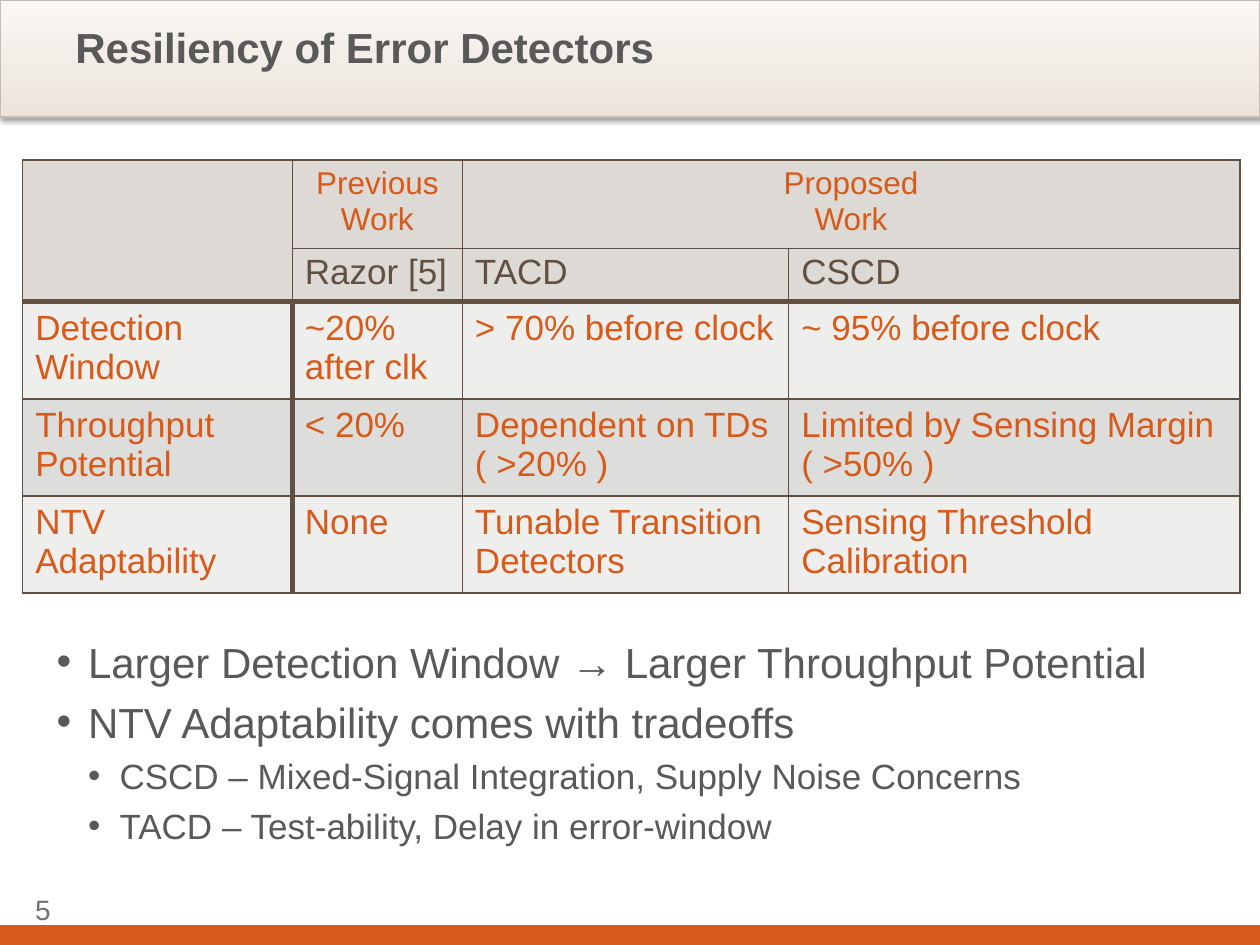
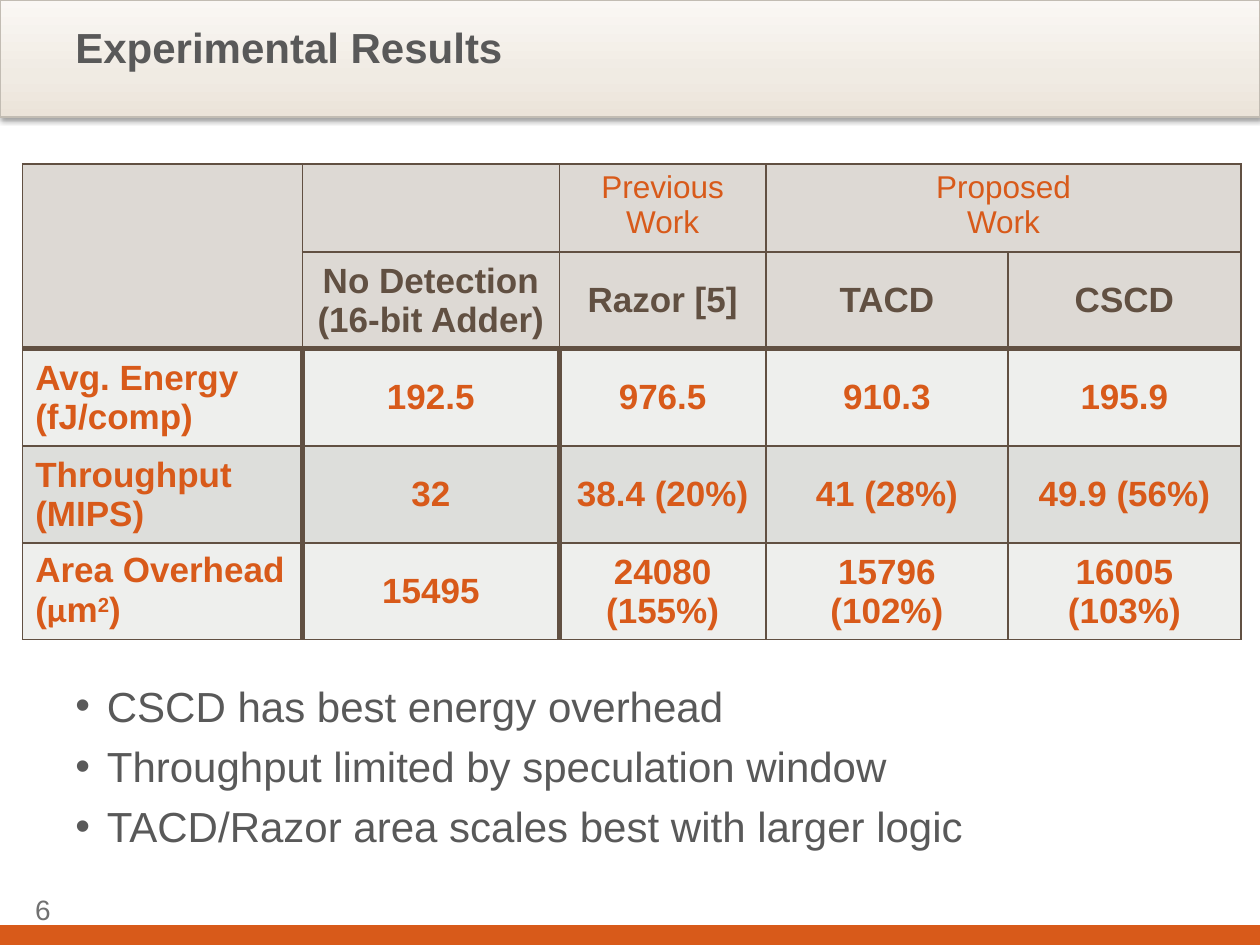
import copy
import dataclasses
import typing

import pptx
import pptx.dml.color
import pptx.enum.shapes
import pptx.enum.text
import pptx.oxml.ns
import pptx.presentation
import pptx.slide
import pptx.table
import pptx.text.text
import pptx.util
from lxml import etree

Inches = pptx.util.Inches
Pt = pptx.util.Pt
RGBColor = pptx.dml.color.RGBColor
qn = pptx.oxml.ns.qn
Align = pptx.enum.text.PP_ALIGN
Anchor = pptx.enum.text.MSO_ANCHOR

ORANGE = RGBColor(0xD8, 0x5A, 0x1A)
BROWN = RGBColor(0x61, 0x50, 0x42)
TEXT_GREY = RGBColor(0x59, 0x59, 0x59)
NUMBER_GREY = RGBColor(0x71, 0x71, 0x71)
HEADER_FILL = RGBColor(0xDD, 0xD9, 0xD4)
LIGHT_FILL = RGBColor(0xEE, 0xEF, 0xED)
DARK_FILL = RGBColor(0xDD, 0xDE, 0xDB)
BAND_LINE = RGBColor(0xC2, 0xBC, 0xB3)
BAND_STOPS = (
    (0, RGBColor(0xEB, 0xE3, 0xD9)),
    (0.35, RGBColor(0xF0, 0xEB, 0xE3)),
    (1, RGBColor(0xFA, 0xF7, 0xF4)),
)
FONT = "Arial"
SLIDE_WIDTH = 10
MARGIN = 0.18
ROW_HEIGHT = 0.41
THIN, THICK = 1, 3


class Span(typing.NamedTuple):
    text: str
    font: str = FONT
    superscript: bool = False


class Bullet(typing.NamedTuple):
    text: str
    level: int = 0


Content = str | tuple[Span, ...]


@dataclasses.dataclass(frozen=True)
class Strip:
    """One table row standing alone; pitch is the distance to the next strip."""
    cells: tuple[Content, ...]
    pitch: float = 0.77
    fill: RGBColor = LIGHT_FILL
    color: RGBColor = ORANGE
    size: int = 20
    bottom: int = THIN
    is_body: bool = True
    is_header: bool = False
    open_top: int | None = None
    open_bottom: int | None = None


@dataclasses.dataclass(frozen=True)
class Comparison:
    """Strips on common columns; thick_dividers counts the heavy lines from the left."""
    top: float
    columns: tuple[float, ...]
    thick_dividers: int
    bold_centered: bool
    strips: tuple[Strip, ...]


@dataclasses.dataclass(frozen=True)
class Page:
    number: int
    title: str
    comparison: Comparison
    bullets: tuple[Bullet, ...]
    bullets_at: tuple[float, float, float, float]


def header_strip(cells: tuple[Content, ...], pitch: float) -> Strip:
    return Strip(cells, pitch, HEADER_FILL, size=18, is_body=False,
                 is_header=True, open_bottom=0)


def heading_strip(cells: tuple[Content, ...], pitch: float) -> Strip:
    return Strip(cells, pitch, HEADER_FILL, BROWN, bottom=THICK, is_body=False, open_top=0)


PAGES = (
    Page(
        5, "Resiliency of Error Detectors",
        Comparison(1.27, (2.14, 1.35, 2.59, 3.58), 1, False, (
            header_strip(("", "Previous Work", "Proposed\nWork"), 0.69),
            heading_strip(("", "Razor [5]", "TACD", "CSCD"), 0.44),
            Strip(("Detection Window", "~20% after clk", "> 70% before clock",
                   "~ 95% before clock")),
            Strip(("Throughput Potential", "< 20%", "Dependent on TDs\n( >20% )",
                   "Limited by Sensing Margin ( >50% )"), fill=DARK_FILL),
            Strip(("NTV Adaptability", "None", "Tunable Transition Detectors",
                   "Sensing Threshold Calibration"), open_top=1),
        )),
        (
            Bullet("Larger Detection Window → Larger Throughput Potential"),
            Bullet("NTV Adaptability comes with tradeoffs"),
            Bullet("CSCD – Mixed-Signal Integration, Supply Noise Concerns", 1),
            Bullet("TACD – Test-ability, Delay in error-window", 1),
        ),
        (0.35, 5, 9.15, 1.9),
    ),
    Page(
        6, "Experimental Results",
        Comparison(1.3, (2.22, 2.04, 1.64, 1.92, 1.85), 2, True, (
            header_strip(("", "", "Previous Work", "Proposed\nWork"), 0.7),
            heading_strip(("", "No Detection (16-bit Adder)", "Razor [5]", "TACD", "CSCD"),
                          0.77),
            Strip(("Avg. Energy (fJ/comp)", "192.5", "976.5", "910.3", "195.9")),
            Strip(("Throughput (MIPS)", "32", "38.4 (20%)", "41 (28%)", "49.9 (56%)"),
                  fill=DARK_FILL),
            Strip(((Span("Area Overhead ("), Span("µ", "Calibri"), Span("m"),
                    Span("2", superscript=True), Span(")")),
                   "15495", "24080 (155%)", "15796 (102%)", "16005 (103%)")),
        )),
        (
            Bullet("CSCD has best energy overhead"),
            Bullet("Throughput limited by speculation window"),
            Bullet("TACD/Razor area scales best with larger logic"),
        ),
        (0.5, 5.35, 9.15, 1.99),
    ),
)


def style_run(run: pptx.text.text._Run, size: int, color: RGBColor,
              bold: bool = False, font: str = FONT) -> None:
    run.font.name = font
    run.font.size = Pt(size)
    run.font.bold = bold
    run.font.color.rgb = color


def add_text_box(slide: pptx.slide.Slide, at: tuple[float, float, float, float],
                 text: str) -> pptx.text.text.TextFrame:
    frame = slide.shapes.add_textbox(*map(Inches, at)).text_frame
    frame.word_wrap = True
    frame.text = text
    return frame


def add_bar(slide: pptx.slide.Slide, top: float, height: float,
            line: RGBColor, line_width: float) -> pptx.shapes.autoshape.Shape:
    bar = slide.shapes.add_shape(
        pptx.enum.shapes.MSO_SHAPE.RECTANGLE,
        Inches(0), Inches(top), Inches(SLIDE_WIDTH), Inches(height))
    bar.shadow.inherit = False
    bar.line.color.rgb = line
    bar.line.width = Pt(line_width)
    return bar


def add_title_band(slide: pptx.slide.Slide) -> None:
    band = add_bar(slide, 0, 0.93, BAND_LINE, 0.75)
    band.fill.gradient()
    band.fill.gradient_angle = 90
    properties = band._element.spPr
    stop_list = properties.find(".//" + qn("a:gsLst"))
    stop_list.insert(1, copy.deepcopy(stop_list[0]))
    for stop, (position, color) in zip(band.fill.gradient_stops, BAND_STOPS):
        stop.position = position
        stop.color.rgb = color
    shadow = etree.SubElement(
        properties.find(qn("a:effectLst")), qn("a:outerShdw"),
        blurRad=str(Pt(3.1)), dist=str(Pt(1.6)), dir="5400000", rotWithShape="0")
    shadow_color = etree.SubElement(shadow, qn("a:srgbClr"), val="000000")
    etree.SubElement(shadow_color, qn("a:alpha"), val="38000")


def add_frame(slide: pptx.slide.Slide, page: Page) -> None:
    """Draw what every slide shares: footer bar, title band, title and number."""
    footer = add_bar(slide, 7.35, 0.15, ORANGE, 1.5)
    footer.fill.solid()
    footer.fill.fore_color.rgb = ORANGE
    add_title_band(slide)
    title = add_text_box(slide, (0.5, 0.12, 9, 0.75), page.title)
    style_run(title.paragraphs[0].runs[0], 24, TEXT_GREY, bold=True)
    number = add_text_box(slide, (MARGIN, 7.08, 0.84, 0.29), str(page.number))
    number.margin_top = number.margin_right = number.margin_bottom = 0
    style_run(number.paragraphs[0].runs[0], 16, NUMBER_GREY)


def add_bullets(slide: pptx.slide.Slide, page: Page) -> None:
    frame = add_text_box(slide, page.bullets_at, "\n".join(b.text for b in page.bullets))
    for para, bullet in zip(frame.paragraphs, page.bullets):
        size = 24 - 4 * bullet.level
        para.level = bullet.level
        para.space_before = Pt(round(0.23 * size, 1))
        style_run(para.runs[0], size, TEXT_GREY)
        properties = para._p.get_or_add_pPr()
        properties.set("marL", str(Inches(0.25 * (bullet.level + 1))))
        properties.set("indent", str(Inches(-0.25)))
        etree.SubElement(properties, qn("a:buFont"), typeface=FONT)
        etree.SubElement(properties, qn("a:buChar"), char="•")


def set_borders(cell: pptx.table._Cell, widths: dict[str, int]) -> None:
    """Set the cell's edges (L, R, T, B) in points; zero leaves an edge open."""
    properties = cell._tc.get_or_add_tcPr()
    for edge, width in widths.items():
        line = etree.SubElement(properties, qn(f"a:ln{edge}"), w=str(Pt(width)))
        if width:
            fill = etree.SubElement(line, qn("a:solidFill"))
            etree.SubElement(fill, qn("a:srgbClr"), val=str(BROWN))
        else:
            etree.SubElement(line, qn("a:noFill"))


def fill_cell(cell: pptx.table._Cell, content: Content, strip: Strip,
              bold: bool, centered: bool) -> None:
    frame = cell.text_frame
    if isinstance(content, str):
        frame.text = content
        for para in frame.paragraphs:
            for run in para.runs:
                style_run(run, strip.size, strip.color, bold)
    else:
        for span in content:
            run = frame.paragraphs[0].add_run()
            run.text = span.text
            style_run(run, strip.size, strip.color, bold, span.font)
            if span.superscript:
                run._r.get_or_add_rPr().set("baseline", "30000")
    for para in frame.paragraphs:
        para.alignment = Align.CENTER if centered else Align.LEFT
    cell.vertical_anchor = Anchor.MIDDLE if bold else Anchor.TOP


def add_strip(slide: pptx.slide.Slide, comparison: Comparison,
              strip: Strip, top: float) -> None:
    last = len(strip.cells) - 1
    widths = (*comparison.columns[:last], sum(comparison.columns[last:]))
    table = slide.shapes.add_table(
        1, len(widths), Inches(MARGIN), Inches(top),
        Inches(sum(widths)), Inches(ROW_HEIGHT)).table
    table.first_row = table.horz_banding = False
    thick_count = comparison.thick_dividers if strip.is_body else 0
    bold = comparison.bold_centered and not strip.is_header
    for index, (width, content) in enumerate(zip(widths, strip.cells)):
        table.columns[index].width = Inches(width)
        cell = table.cell(0, index)
        centered = strip.is_header or (comparison.bold_centered and index > 0)
        fill_cell(cell, content, strip, bold, centered)
        set_borders(cell, {
            "L": THICK if 0 < index <= thick_count else THIN,
            "R": THICK if index < thick_count else THIN,
            "T": 0 if index == strip.open_top else THIN,
            "B": 0 if index == strip.open_bottom else strip.bottom,
        })
        cell.fill.solid()
        cell.fill.fore_color.rgb = strip.fill


def add_comparison(slide: pptx.slide.Slide, comparison: Comparison) -> None:
    """Stack the strips, lower ones first so that upper edges stay on top."""
    strips = comparison.strips
    for index in reversed(range(len(strips))):
        top = comparison.top + sum(strip.pitch for strip in strips[:index])
        add_strip(slide, comparison, strips[index], top)


def main() -> None:
    deck = pptx.Presentation()
    deck.slide_width = Inches(SLIDE_WIDTH)
    deck.slide_height = Inches(7.5)
    for page in PAGES:
        slide = deck.slides.add_slide(deck.slide_layouts[6])
        add_frame(slide, page)
        add_bullets(slide, page)
        add_comparison(slide, page.comparison)
    deck.save("out.pptx")


if __name__ == "__main__":
    main()
